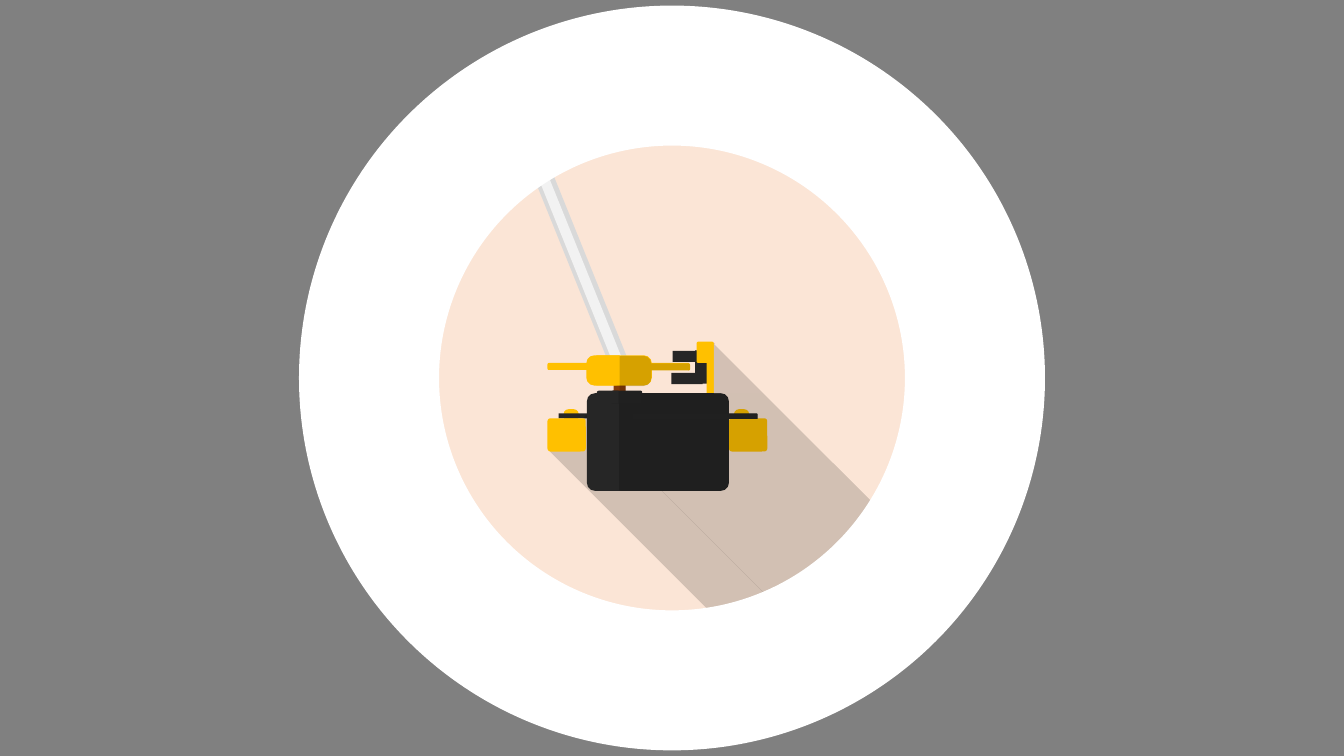
from lxml import etree
from pptx import Presentation
from pptx import util as u
from pptx.dml.color import RGBColor
from pptx.enum import shapes as s
from pptx.oxml import ns

RECTANGLE = s.MSO_SHAPE.RECTANGLE
ROUNDED = s.MSO_SHAPE.ROUNDED_RECTANGLE
OVAL = s.MSO_SHAPE.OVAL
TRIANGLE = s.MSO_SHAPE.RIGHT_TRIANGLE

PEACH = "FBE5D6"
YELLOW = "FFC000"
DARK_YELLOW = "D6A100"
CHARCOAL = "262626"
DARK_CHARCOAL = "202020"
BROWN = "843C0B"
SHADE = "000000"
SHADE_OPACITY = 16


def colour(value):
    return RGBColor.from_string(value)


def add_part(parent, box, kind, place, fill, rotation=0, corner=None):
    """Add a filled shape; place is left, top, width, height within the box."""
    left, top, width, height = place
    shape = parent.shapes.add_shape(
        kind, u.Inches(box[0] + left), u.Inches(box[1] + top), u.Inches(width), u.Inches(height))
    shape.shadow.inherit = False
    shape.line.fill.background()
    shape.rotation = rotation
    if corner is not None:
        shape.adjustments[0] = corner
    if fill is None:
        shape.fill.background()
        return shape
    shape.fill.solid()
    shape.fill.fore_color.rgb = colour(fill)
    if fill == SHADE:
        tint = shape._element.spPr.find(ns.qn("a:solidFill"))[0]
        etree.SubElement(tint, ns.qn("a:alpha")).set("val", str(SHADE_OPACITY * 1000))
    return shape


def add_parts(parent, box, parts):
    for part in parts:
        add_part(parent, box, *part)


def draw_disc(slide, box):
    add_part(slide, box, OVAL, (0, 0, box[2], box[3]), PEACH)


def draw_mast(slide, box):
    add_parts(slide, box, [
        (ROUNDED, (1.79, 2.4, 0.11, 0.12), BROWN, 270, 0.085),
        (ROUNDED, (1.78, 2.33, 0.13, 0.45), CHARCOAL, 270, 0.085),
    ])


def draw_beam(slide, box):
    beam = slide.shapes.add_group_shape()
    for left, width, fill in ((1.31, 0.19, "D9D9D9"), (1.35, 0.1, "F2F2F2")):
        add_part(beam, box, RECTANGLE, (left, -0.08, width, 2.43), fill, 338)


def draw_rear_parts(slide, box):
    add_parts(slide, box, [
        (ROUNDED, (1.8, 1.54, 0.07, 1.41), YELLOW, 270, 0.217),
        (ROUNDED, (1.69, 1.96, 0.3, 0.65), YELLOW, 270, 0.266),
        (ROUNDED, (2.93, 2.76, 0.38, 0.33), YELLOW, 0, 0.09),
    ])
    for left in (1.29, 2.98):
        add_part(slide, box, ROUNDED, (left, 2.67, 0.15, 0.12), YELLOW, 0, 0.402)
    add_part(slide, box, ROUNDED, (2.2, 1.75, 0.05, 1.97), CHARCOAL, 270, 0.085)


def draw_long_shadow(slide, box):
    for place in ((2.18, 2.96, 2.65, 1.46), (0.97, 3.53, 2.48, 0.51)):
        add_part(slide, box, RECTANGLE, place, SHADE, 45)


def draw_rotor(slide, box):
    add_parts(slide, box, [
        (ROUNDED, (1.13, 2.76, 0.38, 0.33), YELLOW, 0, 0.09),
        (ROUNDED, (1.81, 2.09, 0.3, 0.4), SHADE, 270, 0.266),
        (RECTANGLE, (1.58, 2.17, 0.3, 0.23), YELLOW, 90),
        (ROUNDED, (2.28, 2.02, 0.07, 0.46), DARK_YELLOW, 270, 0.217),
        (ROUNDED, (2.49, 2.19, 0.33, 0.12), CHARCOAL, 270, 0),
        (ROUNDED, (2.71, 2.09, 0.07, 0.93), YELLOW, 0, 0.09),
    ])


def draw_body(slide, box):
    add_parts(slide, box, [
        (ROUNDED, (1.74, 2.29, 0.97, 1.41), CHARCOAL, 270, 0.085),
        (ROUNDED, (1.87, 2.42, 0.97, 1.15), SHADE, 270, 0.085),
        (RECTANGLE, (1.29, 2.93, 0.97, 0.13), CHARCOAL, 90),
        (ROUNDED, (1.82, 2.46, 0.11, 0.06), SHADE, 270, 0.085),
        (ROUNDED, (1.85, 2.4, 0.13, 0.3), DARK_CHARCOAL, 270, 0.085),
        (RECTANGLE, (1.67, 2.45, 0.13, 0.2), CHARCOAL, 90),
        (ROUNDED, (2.57, 2.12, 0.05, 1.24), DARK_CHARCOAL, 270, 0.085),
    ])


def draw_bracket(slide, box):
    add_parts(slide, box, [
        (ROUNDED, (2.36, 2.31, 0.31, 0.11), CHARCOAL, 0, 0),
        (ROUNDED, (2.37, 2.09, 0.31, 0.11), CHARCOAL, 0, 0),
        (ROUNDED, (2.61, 2, 0.17, 0.21), YELLOW, 0, 0.09),
    ])


def trim_shadow(slide, box):
    add_parts(slide, box, [
        (TRIANGLE, (2.78, 2.01, 0.54, 0.5), "D3C0B4"),
        (RECTANGLE, (2.49, 2.74, 2.48, 0.19), PEACH, 45),
    ])


def draw_ring(slide, box):
    """Draw the broad white ring that hides whatever overhangs the disc."""
    ring = add_part(slide, box, OVAL, (0, 0, box[2], box[3]), None)
    ring.line.color.rgb = colour("FFFFFF")
    ring.line.width = u.Pt(100)


def main():
    presentation = Presentation()
    presentation.slide_width = u.Inches(13.33)
    presentation.slide_height = u.Inches(7.5)
    slide = presentation.slides.add_slide(presentation.slide_layouts[6])
    slide.background.fill.solid()
    slide.background.fill.fore_color.rgb = colour("808080")

    disc = (4.3, 1.39, 4.73, 4.73)
    for draw in (draw_disc, draw_mast, draw_beam, draw_rear_parts, draw_long_shadow,
                 draw_rotor, draw_body, draw_bracket, trim_shadow):
        draw(slide, disc)
    draw_ring(slide, (3.66, 0.75, 6.01, 6))
    presentation.save("out.pptx")


if __name__ == "__main__":
    main()
